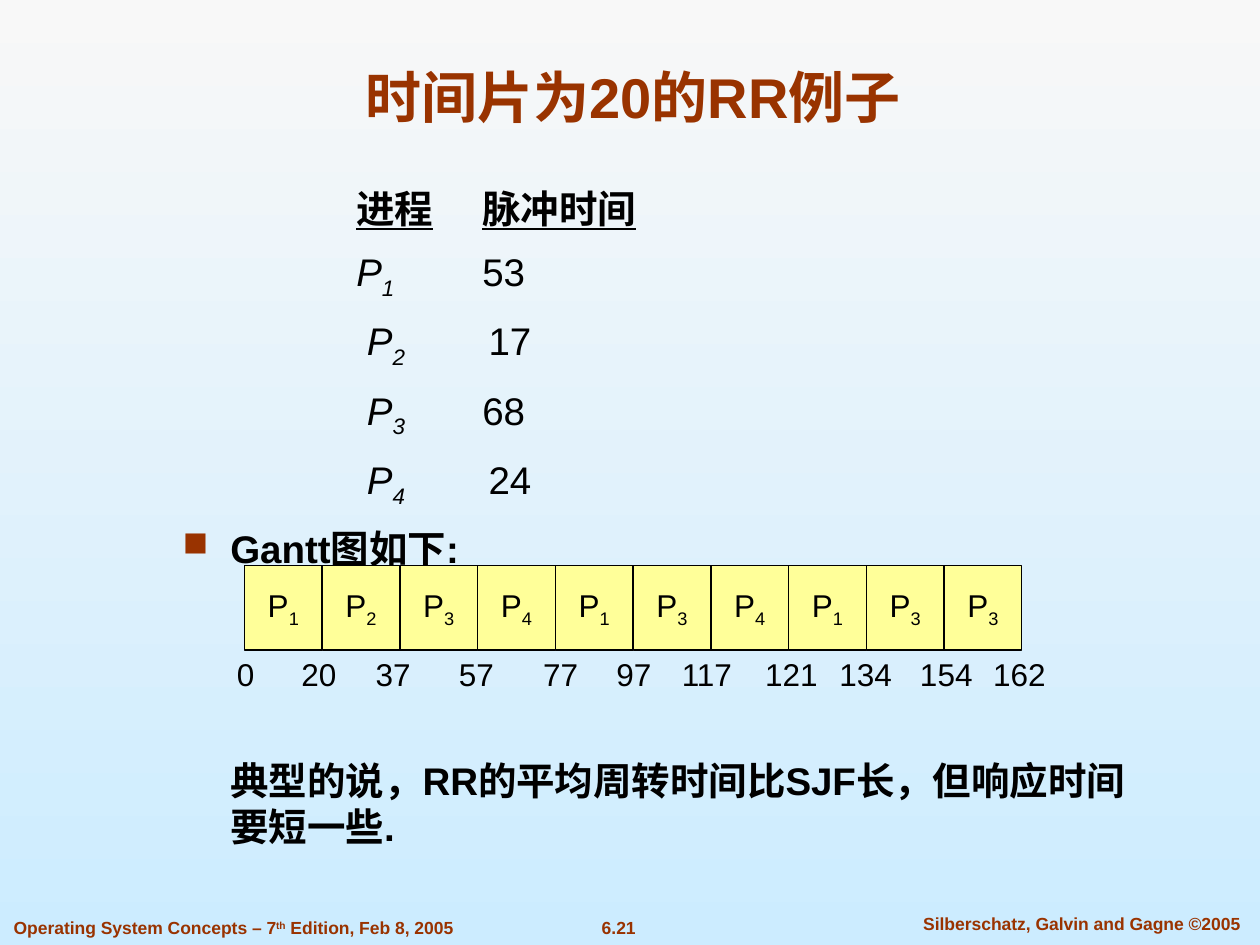
from lxml import etree
from pptx import Presentation
from pptx import util as u
from pptx.dml.color import RGBColor
from pptx.enum import lang, shapes, text
from pptx.oxml.ns import qn

BROWN, BLACK, YELLOW = "993300", "000000", "FFFF99"
LEFT, CENTER = text.PP_ALIGN.LEFT, text.PP_ALIGN.CENTER
TOP, MIDDLE, BOTTOM = (text.MSO_ANCHOR.TOP, text.MSO_ANCHOR.MIDDLE,
                       text.MSO_ANCHOR.BOTTOM)
SUBSCRIPT, SUPERSCRIPT = -25000, 30000

GANTT_LEFT, GANTT_TOP = 1.94, 4.49
BAR_WIDTH, BAR_HEIGHT = 0.617, 0.67
GANTT_ORDER = "1234134133"
# Time marks and the centre of each one
TIME_MARKS = {0: 1.95, 20: 2.53, 37: 3.12, 57: 3.78, 77: 4.45, 97: 5.03,
              117: 5.61, 121: 6.28, 134: 6.87, 154: 7.51, 162: 8.09}


def color(hex_value):
    return RGBColor.from_string(hex_value)


def add_run(paragraph, words, size, hex_value=BLACK, bold=False,
            italic=False, underline=False, baseline=0):
    run = paragraph.add_run()
    run.text = words
    font = run.font
    font.name = "Arial"
    font.size = u.Pt(size)
    font.bold, font.italic, font.underline = bold, italic, underline
    font.color.rgb = color(hex_value)
    font.language_id = lang.MSO_LANGUAGE_ID.SIMPLIFIED_CHINESE
    if baseline:
        run._r.get_or_add_rPr().set("baseline", str(baseline))


def add_box(parent, left, top, width, height, align=LEFT, anchor=TOP,
            wrap=True):
    """Add a text box and return its text frame."""
    box = parent.shapes.add_textbox(u.Inches(left), u.Inches(top),
                                    u.Inches(width), u.Inches(height))
    frame = box.text_frame
    frame.word_wrap = wrap
    frame.vertical_anchor = anchor
    frame.paragraphs[0].alignment = align
    return frame


def add_tab_stop(paragraph, inches):
    tabs = etree.SubElement(paragraph._p.get_or_add_pPr(), qn("a:tabLst"))
    etree.SubElement(tabs, qn("a:tab"), pos=str(u.Inches(inches)), algn="l")


def add_bullet(paragraph):
    properties = paragraph._p.get_or_add_pPr()
    bullet_color = etree.SubElement(properties, qn("a:buClr"))
    etree.SubElement(bullet_color, qn("a:srgbClr"), val=BROWN)
    etree.SubElement(properties, qn("a:buSzPct"), val="90000")
    etree.SubElement(properties, qn("a:buChar"), char="■")


def indent(paragraph, hanging):
    properties = paragraph._p.get_or_add_pPr()
    properties.set("marL", str(u.Inches(0.38)))
    properties.set("indent", str(u.Inches(-0.38 if hanging else 0)))


def set_background(slide):
    fill = slide.background.fill
    fill.gradient()
    fill.gradient_angle = 270
    for stop, hex_value, position in zip(fill.gradient_stops,
                                         ("F8F8F8", "CCECFF"), (0, 1)):
        stop.color.rgb = color(hex_value)
        stop.position = position


def add_footer(slide):
    edition = add_box(slide, 0.01, 7.23, 3.69, 0.27).paragraphs[0]
    add_run(edition, "Operating System Concepts – 7", 10, BROWN, True)
    add_run(edition, "th", 10, BROWN, True, baseline=SUPERSCRIPT)
    add_run(edition, " Edition, Feb 8, 2005", 10, BROWN, True)
    number = add_box(slide, 4.42, 7.23, 0.98, 0.27, CENTER, wrap=False)
    add_run(number.paragraphs[0], "6.21", 10, BROWN, True)
    authors = add_box(slide, 7.1, 7.2, 2.97, 0.27, CENTER)
    add_run(authors.paragraphs[0], "Silberschatz, Galvin and Gagne ©2005",
            10, BROWN, True)


def add_process_list(slide):
    frame = add_box(slide, 2.73, 1.42, 4, 2.7)
    heading = frame.paragraphs[0]
    add_tab_stop(heading, 1)
    add_run(heading, "进程", 22, bold=True, underline=True)
    add_run(heading, "\t", 22, bold=True)
    add_run(heading, "脉冲时间", 22, bold=True, underline=True)

    rows = (("P", "1\t", "53"), (" P", "2\t ", "17"),
            (" P", "3\t", "68"), (" P", "4\t ", "24"))
    for name, index, burst in rows:
        paragraph = frame.add_paragraph()
        paragraph.space_before = u.Pt(9.6)
        add_tab_stop(paragraph, 1)
        add_run(paragraph, name, 22, italic=True)
        add_run(paragraph, index, 22, italic=True, baseline=SUBSCRIPT)
        add_run(paragraph, burst, 22)


def add_notes_text(slide):
    frame = add_box(slide, 1.35, 4.12, 7.69, 2.88)
    caption = frame.paragraphs[0]
    indent(caption, hanging=True)
    add_bullet(caption)
    add_run(caption, "Gantt图如下:", 22, bold=True)

    # The space before leaves room for the chart
    conclusion = frame.add_paragraph()
    conclusion.space_before = u.Pt(106)
    indent(conclusion, hanging=False)
    add_run(conclusion, "典型的说，RR的平均周转时间比SJF长，但响应时间要短一些.",
            22, bold=True)


def add_bar(group, left, process):
    bar = group.shapes.add_shape(
        shapes.MSO_SHAPE.RECTANGLE, u.Inches(left), u.Inches(GANTT_TOP),
        u.Inches(BAR_WIDTH), u.Inches(BAR_HEIGHT))
    bar.shadow.inherit = False
    bar.fill.solid()
    bar.fill.fore_color.rgb = color(YELLOW)
    bar.line.color.rgb = color(BLACK)
    bar.line.width = u.Pt(0.75)
    frame = bar.text_frame
    frame.word_wrap = False
    frame.vertical_anchor = MIDDLE
    paragraph = frame.paragraphs[0]
    paragraph.alignment = CENTER
    add_run(paragraph, "P", 18)
    add_run(paragraph, process, 18, baseline=SUBSCRIPT)


def add_gantt(slide):
    group = slide.shapes.add_group_shape()
    for position, process in enumerate(GANTT_ORDER):
        add_bar(group, GANTT_LEFT + position * BAR_WIDTH, process)
    for time, center in TIME_MARKS.items():
        width = 0.2 + 0.14 * len(str(time))
        mark = add_box(group, center - width / 2, 5.15, width, 0.4,
                       CENTER, MIDDLE, wrap=False)
        add_run(mark.paragraphs[0], str(time), 18)


def main():
    presentation = Presentation()
    presentation.slide_width = u.Inches(10)
    presentation.slide_height = u.Inches(7.5)
    slide = presentation.slides.add_slide(presentation.slide_layouts[6])

    set_background(slide)
    add_footer(slide)
    title = add_box(slide, 0.9, 0.26, 8.25, 0.82, CENTER, BOTTOM)
    add_run(title.paragraphs[0], "时间片为20的RR例子", 32, BROWN, True)
    add_process_list(slide)
    add_notes_text(slide)
    add_gantt(slide)
    presentation.save("out.pptx")


if __name__ == "__main__":
    main()
